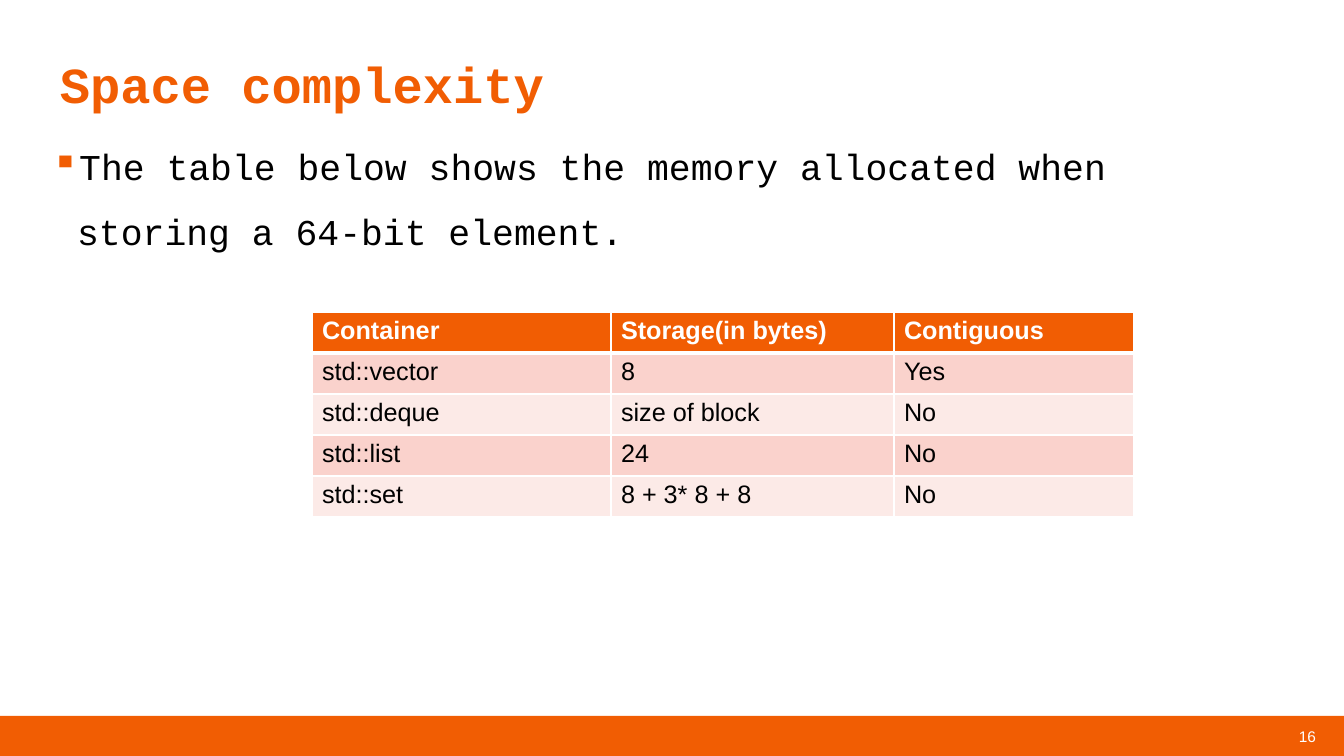
from pptx import Presentation, util as u
from pptx.dml.color import RGBColor
from pptx.enum import shapes, text
from pptx.oxml import parse_xml
from pptx.oxml.ns import nsdecls

PX = 914400 / 100.8
W, H = 1344, 756
ORANGE, WHITE, BLACK = "F15D03", "FFFFFF", "000000"
BANDS = ["FAD2CC", "FCEAE7"]
MONO, SANS = "Courier New", "Arial"
COLS = [299, 283, 240]
ROWS = [
    ["Container", "Storage(in bytes)", "Contiguous"],
    ["std::vector", "8", "Yes"],
    ["std::deque", "size of block", "No"],
    ["std::list", "24", "No"],
    ["std::set", "8 + 3* 8 + 8", "No"],
]


def px(*nums):
    """Turn pixel lengths into EMU."""
    return [u.Emu(round(n * PX)) for n in nums]


def rgb(code):
    """Make a colour from a hex string."""
    return RGBColor.from_string(code)


def fill(part, code):
    """Fill a shape or cell with one colour."""
    part.fill.solid()
    part.fill.fore_color.rgb = rgb(code)


def write(para, words, size, face, code, bold=False):
    """Add one styled run to a paragraph."""
    run = para.add_run()
    run.text = words
    font = run.font
    font.size, font.name, font.bold = u.Pt(size), face, bold
    font.color.rgb = rgb(code)


def bare(frame):
    """Wrap a text frame, clear its insets and give its first paragraph."""
    frame.word_wrap = True
    frame.margin_left = frame.margin_right = 0
    frame.margin_top = frame.margin_bottom = 0
    return frame.paragraphs[0]


def block(slide, box):
    """Add an orange rectangle."""
    rect = slide.shapes.add_shape(shapes.MSO_SHAPE.RECTANGLE, *px(*box))
    rect.shadow.inherit = False
    fill(rect, ORANGE)
    rect.line.fill.background()
    return rect


def footer(slide, box, num):
    """Draw the bottom band with the page number."""
    x, y, w, h = box
    block(slide, box)
    tag = block(slide, (x + w - 52, y + 10, 31, 20))
    para = bare(tag.text_frame)
    tag.text_frame.vertical_anchor = text.MSO_ANCHOR.MIDDLE
    para.alignment = text.PP_ALIGN.CENTER
    write(para, num, 11, SANS, WHITE)


def title(slide, box, words):
    """Write the heading."""
    para = bare(slide.shapes.add_textbox(*px(*box)).text_frame)
    para.line_spacing = 0.9
    write(para, words, 36, MONO, ORANGE, True)


def body(slide, box, words):
    """Write the bulleted statement."""
    para = bare(slide.shapes.add_textbox(*px(*box)).text_frame)
    props = para._p.get_or_add_pPr()
    indent = u.Inches(0.25)
    props.set("marL", str(indent))
    props.set("indent", str(-indent))
    props.append(parse_xml(f'<a:buClr {nsdecls("a")}><a:srgbClr val="{ORANGE}"/></a:buClr>'))
    props.append(parse_xml(f'<a:buChar {nsdecls("a")} char="▪"/>'))
    para.line_spacing = 1.5
    write(para, words, 26, MONO, BLACK)


def edge(cell, side, width):
    """Add a white border to one side of a cell."""
    line = parse_xml(
        f'<a:ln{side} {nsdecls("a")} w="{u.Pt(width)}"><a:solidFill>'
        f'<a:srgbClr val="{WHITE}"/></a:solidFill></a:ln{side}>')
    cell._tc.get_or_add_tcPr().append(line)


def grid(slide, box):
    """Draw the container table."""
    table = slide.shapes.add_table(len(ROWS), len(COLS), *px(*box)).table
    for col, width in zip(table.columns, px(*COLS)):
        col.width = width
    for r, row in enumerate(ROWS):
        head = r == 0
        for c, words in enumerate(row):
            cell = table.cell(r, c)
            for side in "LRTB":
                thick = (head and side == "B") or (r == 1 and side == "T")
                edge(cell, side, 3 if thick else 1)
            fill(cell, ORANGE if head else BANDS[(r - 1) % 2])
            write(cell.text_frame.paragraphs[0], words, 18, SANS,
                  WHITE if head else BLACK, head)


def main():
    """Build and save the slide."""
    deck = Presentation()
    deck.slide_width, deck.slide_height = px(W, H)
    slide = deck.slides.add_slide(deck.slide_layouts[6])
    footer(slide, (0, 716, W, 40), "16")
    title(slide, (60, 60, 1223, 123), "Space complexity")
    grid(slide, (312, 312, sum(COLS), 205))
    body(slide, (52, 122, 1223, 496),
         "The table below shows the memory allocated when storing a 64-bit element.")
    deck.save("out.pptx")


if __name__ == "__main__":
    main()
